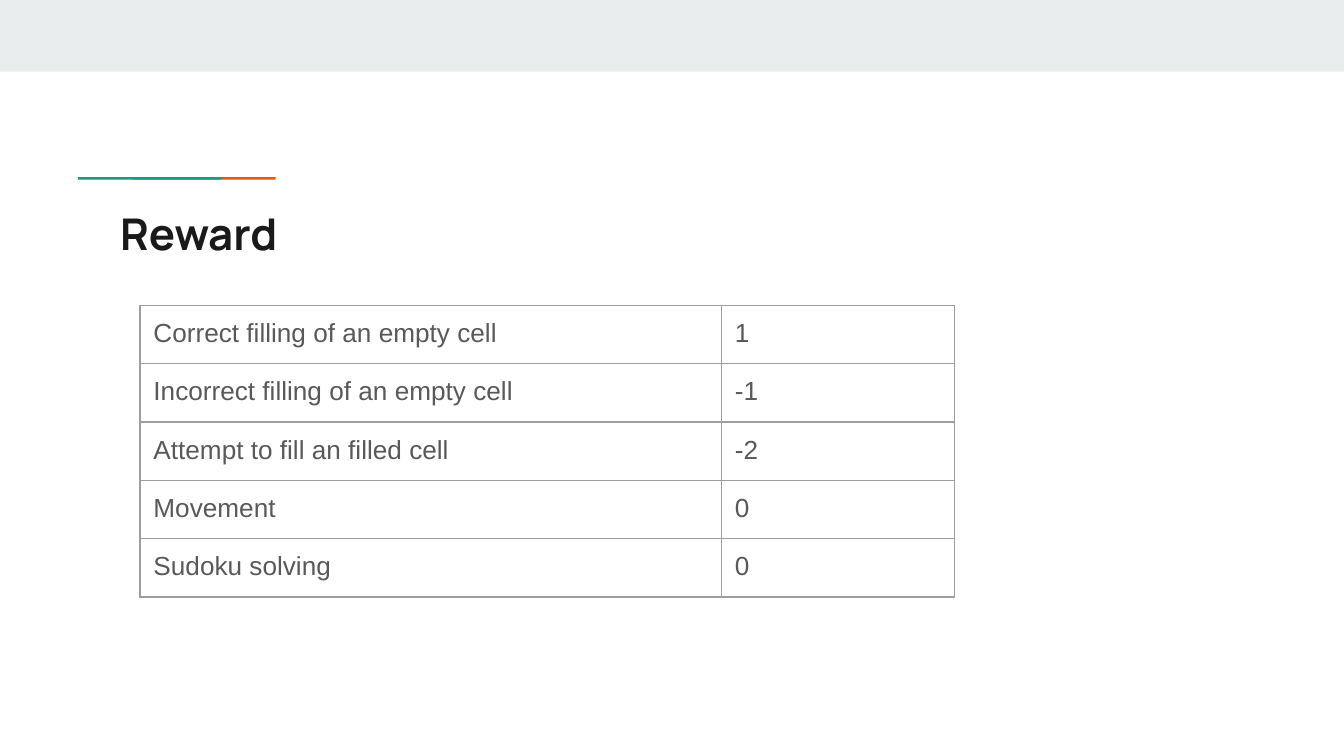
import pptx
import pptx.dml.color
import pptx.enum.shapes
import pptx.enum.text
import pptx.oxml
import pptx.oxml.ns
import pptx.util

Pt = pptx.util.Pt

TITLE = "Reward"
REWARDS = [
    ("Correct filling of an empty cell", "1"),
    ("Incorrect filling of an empty cell", "-1"),
    ("Attempt to fill an filled cell", "-2"),
    ("Movement", "0"),
    ("Sudoku solving", "0"),
]
BAND = (0, 0, 720, 38.4)
BAND_COLOR = "E9EDEE"
# The accent is two upright strips, turned on their side and stretched as a group.
STRIP_LEFT, STRIP_TOP = 78.3, 80.85
STRIP_WIDTH, STRIP_HEIGHT = 1.4, 29.5
STRIP_STEP = 11.24
STRIP_STRETCH = 2.6
STRIPS = [(1, "EB5600"), (0, "1A9988")]  # place, colour
TITLE_BOX = (57.3, 103.7, 605.5, 42.5)
TABLE_LEFT, TABLE_TOP = 75, 163.6
COLUMN_WIDTHS = [311.5, 124.8]
ROW_HEIGHT = 31.18
MARGIN = 7.2
BORDER_COLOR, BORDER_WIDTH = "9E9E9E", 0.75


def color(value):
    return pptx.dml.color.RGBColor.from_string(value)


def write(frame, text, *, size, font, fill, bold=False):
    frame.word_wrap = True
    run = frame.paragraphs[0].add_run()
    run.text = text
    run.font.size = Pt(size)
    run.font.name = font
    run.font.bold = bold
    run.font.color.rgb = color(fill)


def set_margins(target):
    """Give a text frame or a table cell the same inset on all sides."""
    for side in ("left", "top", "right", "bottom"):
        setattr(target, f"margin_{side}", Pt(MARGIN))


def add_borders(cell):
    properties = cell._tc.get_or_add_tcPr()
    for position, side in enumerate(("lnL", "lnR", "lnT", "lnB")):
        line = pptx.oxml.parse_xml(
            f'<a:{side} {pptx.oxml.ns.nsdecls("a")} w="{Pt(BORDER_WIDTH)}">'
            f'<a:solidFill><a:srgbClr val="{BORDER_COLOR}"/></a:solidFill></a:{side}>'
        )
        properties.insert(position, line)


def add_rectangle(shapes, left, top, width, height, fill):
    rectangle = pptx.enum.shapes.MSO_SHAPE.RECTANGLE
    shape = shapes.add_shape(rectangle, Pt(left), Pt(top), Pt(width), Pt(height))
    shape.shadow.inherit = False
    shape.fill.solid()
    shape.fill.fore_color.rgb = color(fill)
    shape.line.fill.background()
    return shape


def add_accent(slide):
    group = slide.shapes.add_group_shape()
    for place, fill in STRIPS:
        left = STRIP_LEFT + place * STRIP_STEP
        strip = add_rectangle(group.shapes, left, STRIP_TOP, STRIP_WIDTH, STRIP_HEIGHT, fill)
        strip.rotation = 270
    group.width = int(group.width * STRIP_STRETCH)


def add_title(slide):
    frame = slide.shapes.add_textbox(*map(Pt, TITLE_BOX)).text_frame
    set_margins(frame)
    frame.vertical_anchor = pptx.enum.text.MSO_ANCHOR.MIDDLE
    write(frame, TITLE, size=23.4, font="Manrope", fill="1A1A1A", bold=True)


def add_reward_table(slide):
    table = slide.shapes.add_table(
        len(REWARDS), len(COLUMN_WIDTHS), Pt(TABLE_LEFT), Pt(TABLE_TOP),
        Pt(sum(COLUMN_WIDTHS)), Pt(ROW_HEIGHT * len(REWARDS)),
    ).table
    table.first_row = False
    table.horz_banding = False
    for column, width in zip(table.columns, COLUMN_WIDTHS):
        column.width = Pt(width)
    for row, texts in zip(table.rows, REWARDS):
        row.height = Pt(ROW_HEIGHT)
        for cell, text in zip(row.cells, texts):
            cell.fill.background()
            set_margins(cell)
            add_borders(cell)
            write(cell.text_frame, text, size=14, font="Arial", fill="595959")


def main():
    presentation = pptx.Presentation()
    presentation.slide_width = Pt(720)
    presentation.slide_height = Pt(405)
    slide = presentation.slides.add_slide(presentation.slide_layouts[6])
    add_rectangle(slide.shapes, *BAND, BAND_COLOR)
    add_accent(slide)
    add_title(slide)
    add_reward_table(slide)
    presentation.save("out.pptx")


if __name__ == "__main__":
    main()
